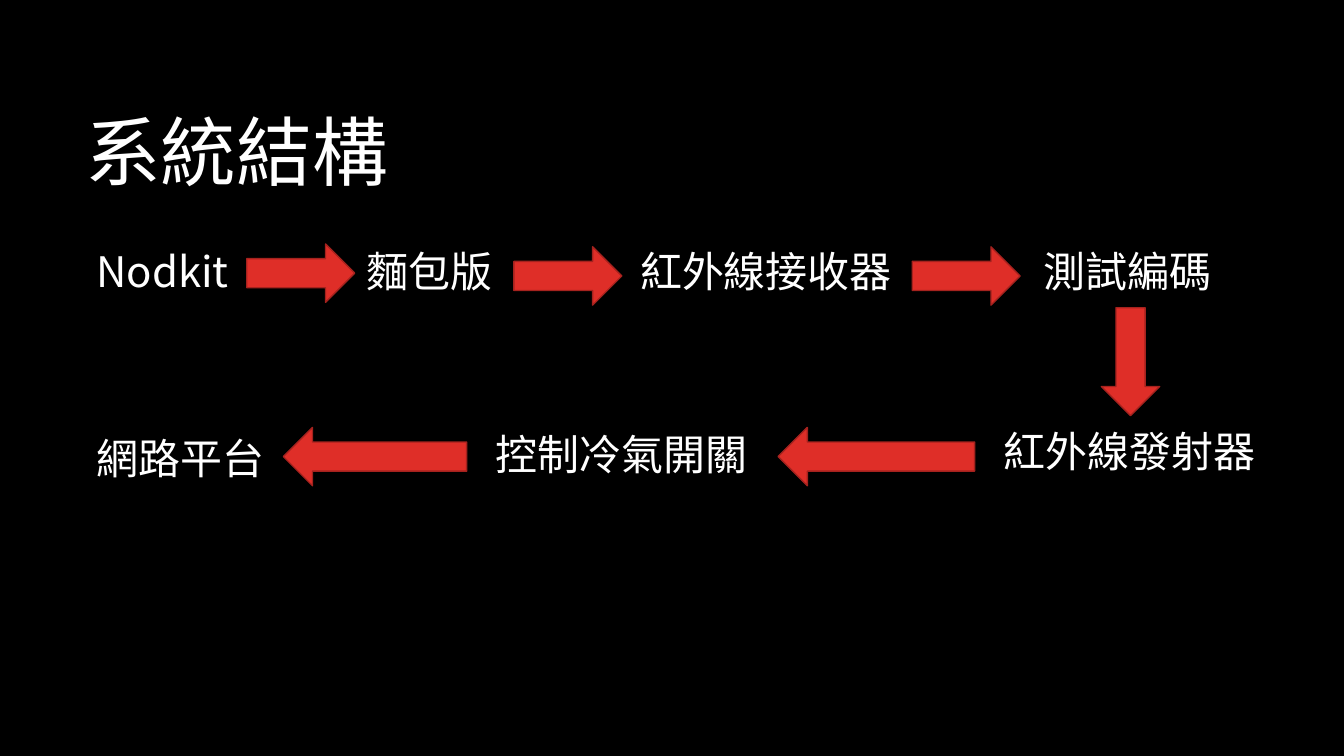
from lxml import etree
from pptx import Presentation
from pptx import util as u
from pptx.dml.color import RGBColor
from pptx.enum import shapes, text
from pptx.oxml import ns

TITLE = ("系統結構", 1.9, 2.13, 30.05, 3.58)

STEPS = [
    ("Nodkit", 2.18, 6.05, 3.84),
    ("麵包版", 8.99, 6.07, 4.45),
    ("紅外線接收器", 15.88, 6.05, 7.57),
    ("測試編碼", 26.04, 6.07, 4.9),
    ("紅外線發射器", 25.04, 10.59, 6.88),
    ("控制冷氣開關", 12.24, 10.67, 6.88),
    ("網路平台", 2.18, 10.77, 4.8),
]

ARROWS = [
    (6.22, 6.15, 2.72, 0),
    (12.95, 6.22, 2.72, 0),
    (22.99, 6.22, 2.72, 0),
    (27.13, 8.38, 2.72, 90),
    (19.61, 10.77, 4.95, 180),
    (7.14, 10.77, 4.62, 180),
]

STEP_HEIGHT = 1.55
ARROW_HEIGHT = 1.47

THEME = {
    "background": RGBColor.from_string("000000"),
    "text": RGBColor.from_string("FFFFFF"),
    "arrow": RGBColor.from_string("DF2E28"),
    "outline": RGBColor.from_string("A5221E"),
    "outline_width": u.Pt(1),
    "font": "Noto Sans CJK JP",
    "title_size": u.Pt(54),
    "step_size": u.Pt(30),
}


def add_label(slide, label, box, size, frame_format, line_spacing=None):
    frame = slide.shapes.add_textbox(*map(u.Cm, box)).text_frame
    for key, value in frame_format.items():
        setattr(frame, key, value)
    paragraph = frame.paragraphs[0]
    if line_spacing:
        paragraph.line_spacing = line_spacing
    run = paragraph.add_run()
    run.text = label
    for key, value in {"name": THEME["font"], "size": size}.items():
        setattr(run.font, key, value)
    run.font.color.rgb = THEME["text"]
    east_asian = etree.SubElement(run.font._element, ns.qn("a:ea"))
    east_asian.set("typeface", THEME["font"])


def add_arrow(slide, left, top, width, rotation):
    box = map(u.Cm, (left, top, width, ARROW_HEIGHT))
    arrow = slide.shapes.add_shape(shapes.MSO_SHAPE.RIGHT_ARROW, *box)
    arrow.rotation = rotation
    arrow.shadow.inherit = False
    arrow.fill.solid()
    arrow.fill.fore_color.rgb = THEME["arrow"]
    arrow.line.color.rgb = THEME["outline"]
    arrow.line.width = THEME["outline_width"]


def main():
    deck = Presentation()
    deck.slide_width, deck.slide_height = u.Cm(33.87), u.Cm(19.05)
    slide = deck.slides.add_slide(deck.slide_layouts[6])
    slide.background.fill.solid()
    slide.background.fill.fore_color.rgb = THEME["background"]

    heading, *heading_box = TITLE
    add_label(slide, heading, heading_box, THEME["title_size"],
              {"word_wrap": True, "vertical_anchor": text.MSO_ANCHOR.MIDDLE}, 0.9)

    for label, left, top, width in STEPS:
        add_label(slide, label, (left, top, width, STEP_HEIGHT), THEME["step_size"],
                  {"word_wrap": True, "auto_size": text.MSO_AUTO_SIZE.SHAPE_TO_FIT_TEXT})

    for arrow in ARROWS:
        add_arrow(slide, *arrow)

    deck.save("out.pptx")


if __name__ == "__main__":
    main()
